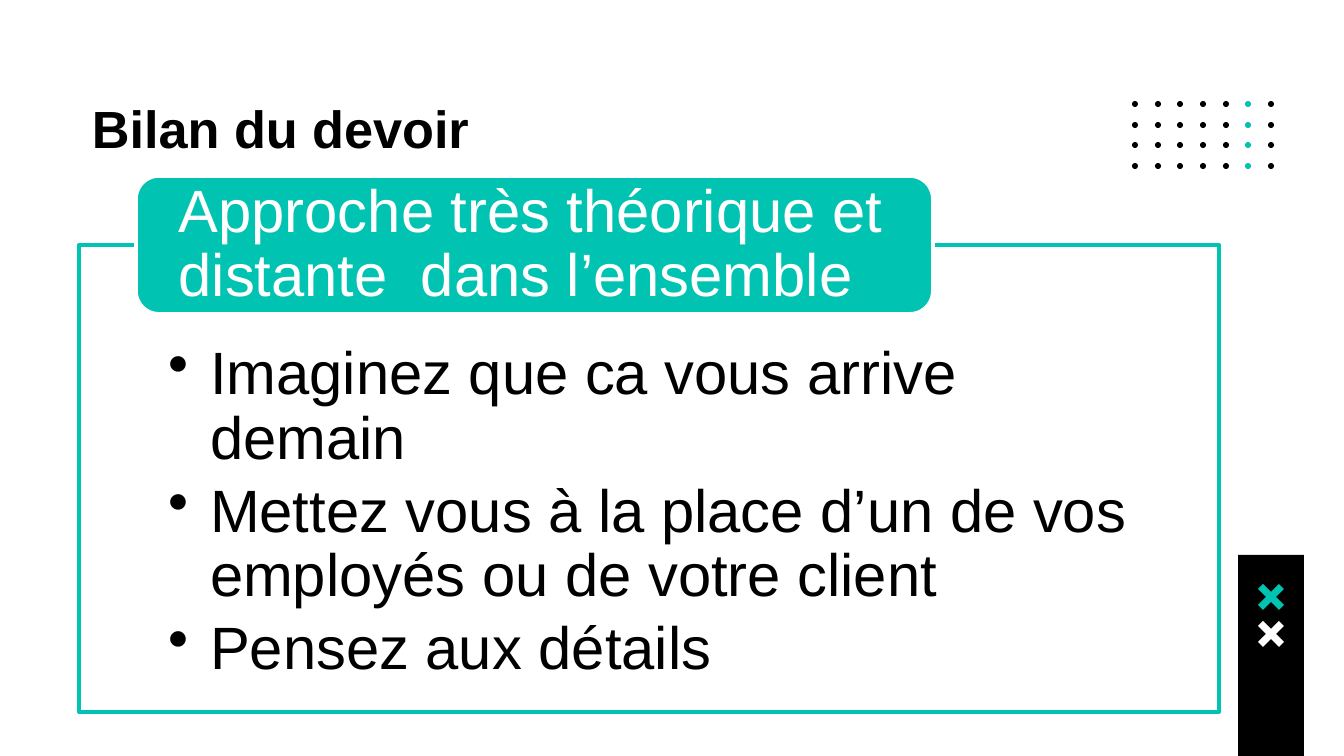
from dataclasses import dataclass

from lxml import etree
from pptx import Presentation
from pptx.dml.color import RGBColor
from pptx.enum.shapes import MSO_SHAPE
from pptx.enum.text import MSO_ANCHOR, PP_ALIGN
from pptx.oxml.ns import qn
from pptx.shapes.autoshape import Shape
from pptx.slide import Slide
from pptx.util import Emu, Pt

RECT = MSO_SHAPE.RECTANGLE
ROUND = MSO_SHAPE.ROUNDED_RECTANGLE
OVAL = MSO_SHAPE.OVAL
TOP = MSO_ANCHOR.TOP
MIDDLE = MSO_ANCHOR.MIDDLE
LEFT = PP_ALIGN.LEFT
SCALE = 914400 / 134.4


@dataclass(frozen=True)
class Theme:
    font: str = "Arial"
    black: str = "000000"
    white: str = "FFFFFF"
    teal: str = "00C3B1"
    title: int = 28
    body: int = 32
    line: int = 2
    pitch: float = 0.9
    gap: float = 4.5


@dataclass(frozen=True)
class Box:
    left: int
    top: int
    width: int
    height: int


@dataclass(frozen=True)
class Cross:
    left: int
    top: int
    color: str


@dataclass(frozen=True)
class Text:
    lines: tuple[str, ...]
    size: int
    color: str
    inset: tuple[int, int, int, int]
    anchor: MSO_ANCHOR = MIDDLE
    bold: bool = False
    bullet: bool = False


THEME = Theme()
DOTS = Box(1132, 101, 136, 62)
COLS, ROWS, DOT, ACCENT = 7, 4, 6, 5
CROSS = (
    (5, 0), (0, 5), (8, 13), (0, 21), (5, 26), (13, 18),
    (21, 26), (26, 21), (18, 13), (26, 5), (21, 0), (13, 8),
)
MARKS = (Cross(1258, 584, THEME.teal), Cross(1258, 621, THEME.white))
TITLE = Text(("Bilan du devoir",), THEME.title, THEME.black,
             (13, 13, 13, 13), bold=True)
BODY = Text(
    (
        "Imaginez que ca vous arrive demain",
        "Mettez vous à la place d’un de vos employés ou de votre client",
        "Pensez aux détails",
    ),
    THEME.body, THEME.black, (89, 98, 89, 34), anchor=TOP, bullet=True,
)
HEAD = Text(("Approche très théorique et distante  dans l’ensemble",),
            THEME.body, THEME.white, (36, 7, 36, 7))


def px(value: float) -> Emu:
    return Emu(round(value * SCALE))


def paint(shape: Shape, fill: str, line: str | None = None) -> None:
    shape.shadow.inherit = False
    shape.fill.solid()
    shape.fill.fore_color.rgb = RGBColor.from_string(fill)
    if line is None:
        shape.line.fill.background()
    else:
        shape.line.color.rgb = RGBColor.from_string(line)
        shape.line.width = Pt(THEME.line)


def add_box(slide: Slide, kind: MSO_SHAPE, box: Box, fill: str,
            line: str | None = None) -> Shape:
    shape = slide.shapes.add_shape(
        kind, px(box.left), px(box.top), px(box.width), px(box.height))
    paint(shape, fill, line)
    return shape


def add_cross(slide: Slide, mark: Cross) -> None:
    points = [(mark.left + x, mark.top + y) for x, y in CROSS]
    pen = slide.shapes.build_freeform(*points[0], scale=SCALE)
    pen.add_line_segments(points[1:], close=True)
    paint(pen.convert_to_shape(), mark.color)


def add_dots(slide: Slide) -> None:
    for row in range(ROWS):
        for col in range(COLS):
            left = DOTS.left + round(col * DOTS.width / (COLS - 1))
            top = DOTS.top + round(row * DOTS.height / (ROWS - 1))
            color = THEME.teal if col == ACCENT else THEME.black
            add_box(slide, OVAL, Box(left, top, DOT, DOT), color)


def write(shape: Shape, text: Text) -> None:
    frame = shape.text_frame
    frame.word_wrap = True
    frame.vertical_anchor = text.anchor
    (frame.margin_left, frame.margin_top,
     frame.margin_right, frame.margin_bottom) = map(px, text.inset)
    for index, line in enumerate(text.lines):
        para = frame.add_paragraph() if index else frame.paragraphs[0]
        para.alignment = LEFT
        para.line_spacing = THEME.pitch
        if text.bullet:
            para.level = 1
            para.space_after = Pt(THEME.gap)
            props = para._p.get_or_add_pPr()
            props.set("marL", str(px(42)))
            props.set("indent", str(px(-42)))
            etree.SubElement(props, qn("a:buChar")).set("char", "•")
        run = para.add_run()
        run.text = line
        run.font.name = THEME.font
        run.font.size = Pt(text.size)
        run.font.bold = text.bold
        run.font.color.rgb = RGBColor.from_string(text.color)


def main() -> None:
    deck = Presentation()
    deck.slide_width, deck.slide_height = px(1344), px(756)
    slide = deck.slides.add_slide(deck.slide_layouts[6])

    add_dots(slide)
    add_box(slide, RECT, Box(1238, 555, 66, 201), THEME.black)
    for mark in MARKS:
        add_cross(slide, mark)

    title = slide.shapes.add_textbox(px(79), px(79), px(1191), px(106))
    write(title, TITLE)

    panel = add_box(slide, RECT, Box(79, 245, 1140, 467),
                    THEME.white, THEME.teal)
    tint = panel._element.spPr.find(qn("a:solidFill"))[0]
    etree.SubElement(tint, qn("a:alpha")).set("val", "90000")
    write(panel, BODY)

    head = add_box(slide, ROUND, Box(136, 176, 797, 138),
                   THEME.teal, THEME.white)
    write(head, HEAD)

    deck.save("out.pptx")


if __name__ == "__main__":
    main()
